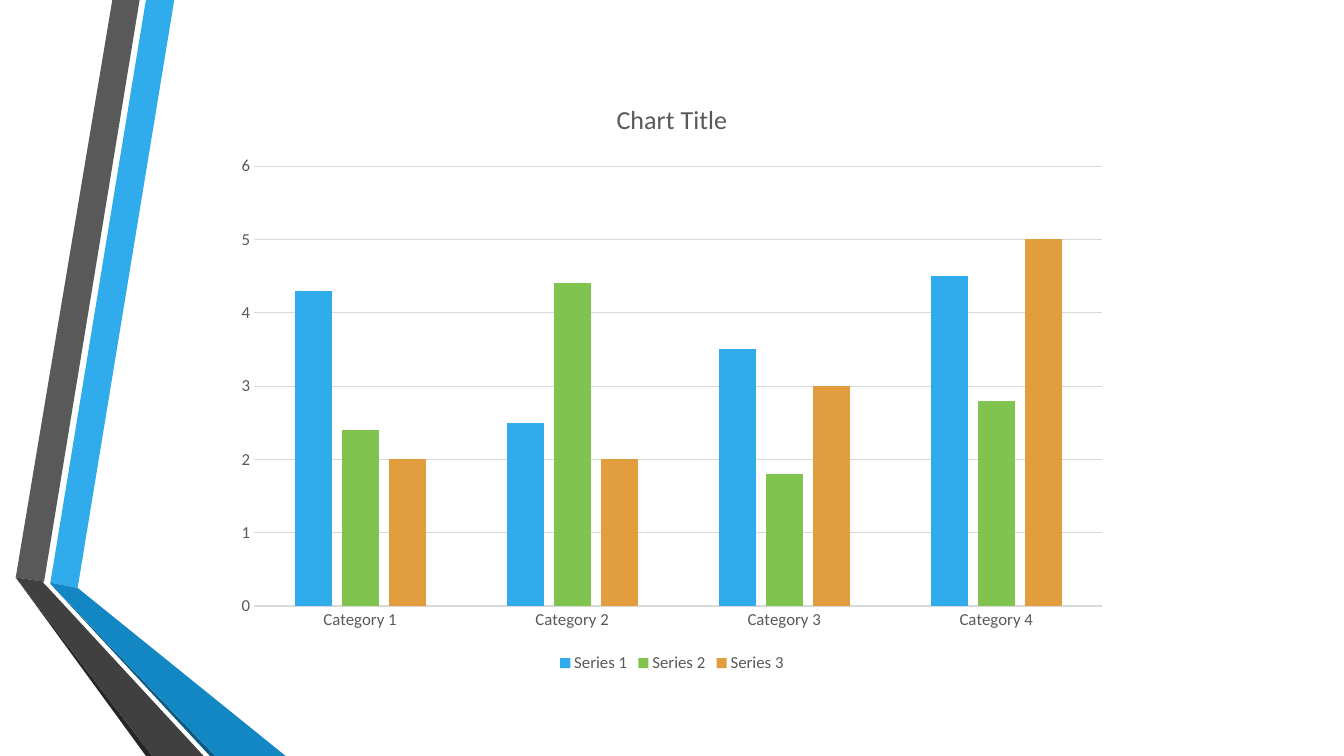
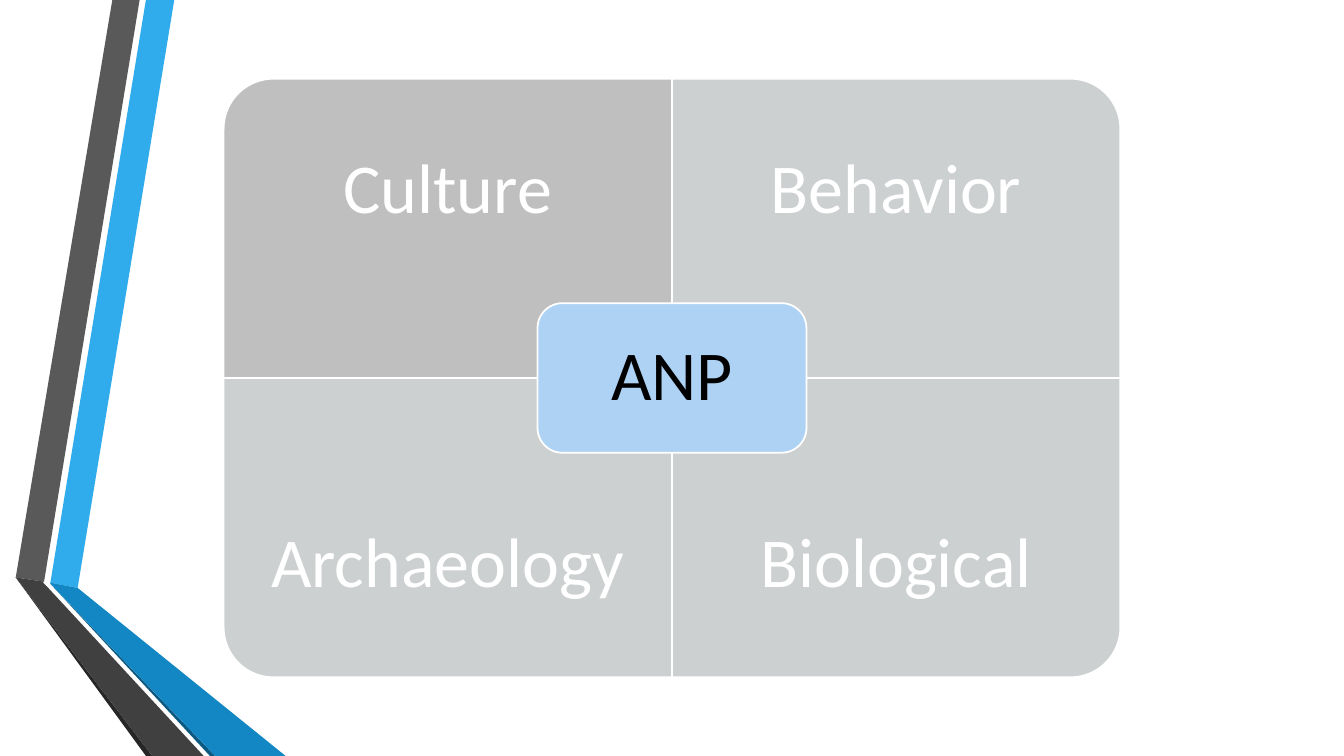
from pptx import Presentation
from pptx import util as u
from pptx.chart import data
from pptx.dml import color
from pptx.enum import chart as kinds, shapes, text

PX = 9525
FONT = "Calibri"
COLORS = {
    "white": "FFFFFF", "black": "000000", "label": "595959", "rule": "D9D9D9",
    "sky": "30ACEC", "blue": "1287C3", "navy": "0C5A82",
    "gray": "595959", "charcoal": "404040", "soot": "262626",
    "green": "80C34F", "orange": "E29D3E",
    "silver": "BFBFBF", "mist": "CDD0D1", "pale": "AED2F4",
}
BANDS = [
    ("sky", [(48, 555), (74, 560), (166, 0), (139, 0)]),
    ("gray", [(133, 0), (107, 0), (15, 550), (42, 554)]),
    ("soot", [(15, 550), (139, 720), (145, 720)]),
    ("navy", [(48, 556), (200, 720), (205, 720)]),
    ("blue", [(48, 555), (48, 556), (205, 720), (272, 720), (74, 560)]),
    ("charcoal", [(194, 720), (46, 560), (41, 555), (42, 554), (15, 550), (145, 720)]),
]
CONTENT = (213, 75, 854, 570)


def px(*lengths):
    return [u.Emu(round(length * PX)) for length in lengths]


def rgb(name):
    return color.RGBColor.from_string(COLORS[name])


def style_shape(shape, fill, line=None):
    shape.shadow.inherit = False
    shape.fill.solid()
    shape.fill.fore_color.rgb = rgb(fill)
    if line:
        shape.line.color.rgb = rgb(line)
        shape.line.width = u.Pt(1.25)
    else:
        shape.line.fill.background()


def style_font(font, size, name):
    font.name = FONT
    font.size = u.Pt(size)
    font.bold = False
    font.color.rgb = rgb(name)


def write_label(shape, words, name, inset):
    frame = shape.text_frame
    frame.text = words
    frame.word_wrap = True
    frame.vertical_anchor = text.MSO_ANCHOR.MIDDLE
    margin, = px(inset)
    frame.margin_left = frame.margin_right = margin
    frame.margin_top = frame.margin_bottom = margin
    para = frame.paragraphs[0]
    para.alignment = text.PP_ALIGN.CENTER
    para.line_spacing = 0.9
    style_font(para.runs[0].font, 50, name)


def add_page(deck):
    page = deck.slides.add_slide(deck.slide_layouts[6])
    for fill, points in BANDS:
        builder = page.shapes.build_freeform(*points[0], scale=PX)
        builder.add_line_segments(points[1:], close=True)
        style_shape(builder.convert_to_shape(), fill)
    return page


def add_column_chart(page, box, title, categories, series):
    values = data.CategoryChartData()
    values.categories = categories
    for name, numbers, _ in series:
        values.add_series(name, numbers)
    chart = page.shapes.add_chart(
        kinds.XL_CHART_TYPE.COLUMN_CLUSTERED, *px(*box), values).chart
    style_font(chart.font, 12, "label")
    chart.has_title = True
    chart.chart_title.text_frame.text = title
    span = chart.chart_title.text_frame.paragraphs[0].runs[0]
    style_font(span.font, 18.6, "label")

    chart.has_legend = True
    chart.legend.position = kinds.XL_LEGEND_POSITION.BOTTOM
    chart.legend.include_in_layout = False
    style_font(chart.legend.font, 12, "label")

    plot = chart.plots[0]
    plot.gap_width = 219
    plot.overlap = -27
    plot.vary_by_categories = False
    for column, (_, _, fill) in zip(plot.series, series):
        column.format.fill.solid()
        column.format.fill.fore_color.rgb = rgb(fill)

    for axis in (chart.category_axis, chart.value_axis):
        axis.major_tick_mark = axis.minor_tick_mark = kinds.XL_TICK_MARK.NONE
        style_font(axis.tick_labels.font, 12, "label")
    chart.value_axis.minimum_scale = 0
    chart.value_axis.maximum_scale = 6
    chart.value_axis.major_unit = 1
    chart.value_axis.format.line.fill.background()
    for line in (chart.category_axis.format.line,
                 chart.value_axis.major_gridlines.format.line):
        line.color.rgb = rgb("rule")
        line.width = u.Pt(0.75)


def add_quadrant(page, box, words, fill, rotation):
    left, top, width, height = box
    wide, tall = (height, width) if rotation % 180 else (width, height)
    panel = page.shapes.add_shape(
        shapes.MSO_SHAPE.ROUND_1_RECTANGLE,
        *px(left + (width - wide) / 2, top + (height - tall) / 2, wide, tall))
    panel.rotation = rotation
    style_shape(panel, fill, "white")


def add_quadrant_label(page, box, words, is_lower):
    left, top, width, height = box
    label_height = height * 3 / 4
    label_top = top + (height - label_height if is_lower else 0)
    label = page.shapes.add_textbox(*px(left, label_top, width, label_height))
    write_label(label, words, "white", 37)


def add_matrix(page, box, quadrants, center):
    left, top, width, height = box
    cell_width, cell_height = width / 2, height / 2
    for index, (words, fill, rotation) in enumerate(quadrants):
        row, column = divmod(index, 2)
        cell = (left + column * cell_width, top + row * cell_height,
                cell_width, cell_height)
        add_quadrant(page, cell, words, fill, rotation)
        add_quadrant_label(page, cell, words, row == 1)
    core_width, core_height = cell_width * 0.6, cell_height / 2
    core = page.shapes.add_shape(
        shapes.MSO_SHAPE.ROUNDED_RECTANGLE,
        *px(left + (width - core_width) / 2, top + (height - core_height) / 2,
            core_width, core_height))
    style_shape(core, "pale", "white")
    write_label(core, center, "black", 20)


def main():
    deck = Presentation()
    deck.slide_width, deck.slide_height = px(1280, 720)
    add_column_chart(
        add_page(deck), CONTENT, "Chart Title",
        [f"Category {number}" for number in range(1, 5)],
        [("Series 1", (4.3, 2.5, 3.5, 4.5), "sky"),
         ("Series 2", (2.4, 4.4, 1.8, 2.8), "green"),
         ("Series 3", (2, 2, 3, 5), "orange")])
    add_matrix(
        add_page(deck), CONTENT,
        [("Culture", "silver", 270), ("Behavior", "mist", 0),
         ("Archaeology", "mist", 180), ("Biological", "mist", 90)],
        "ANP")
    deck.save("out.pptx")


if __name__ == "__main__":
    main()
